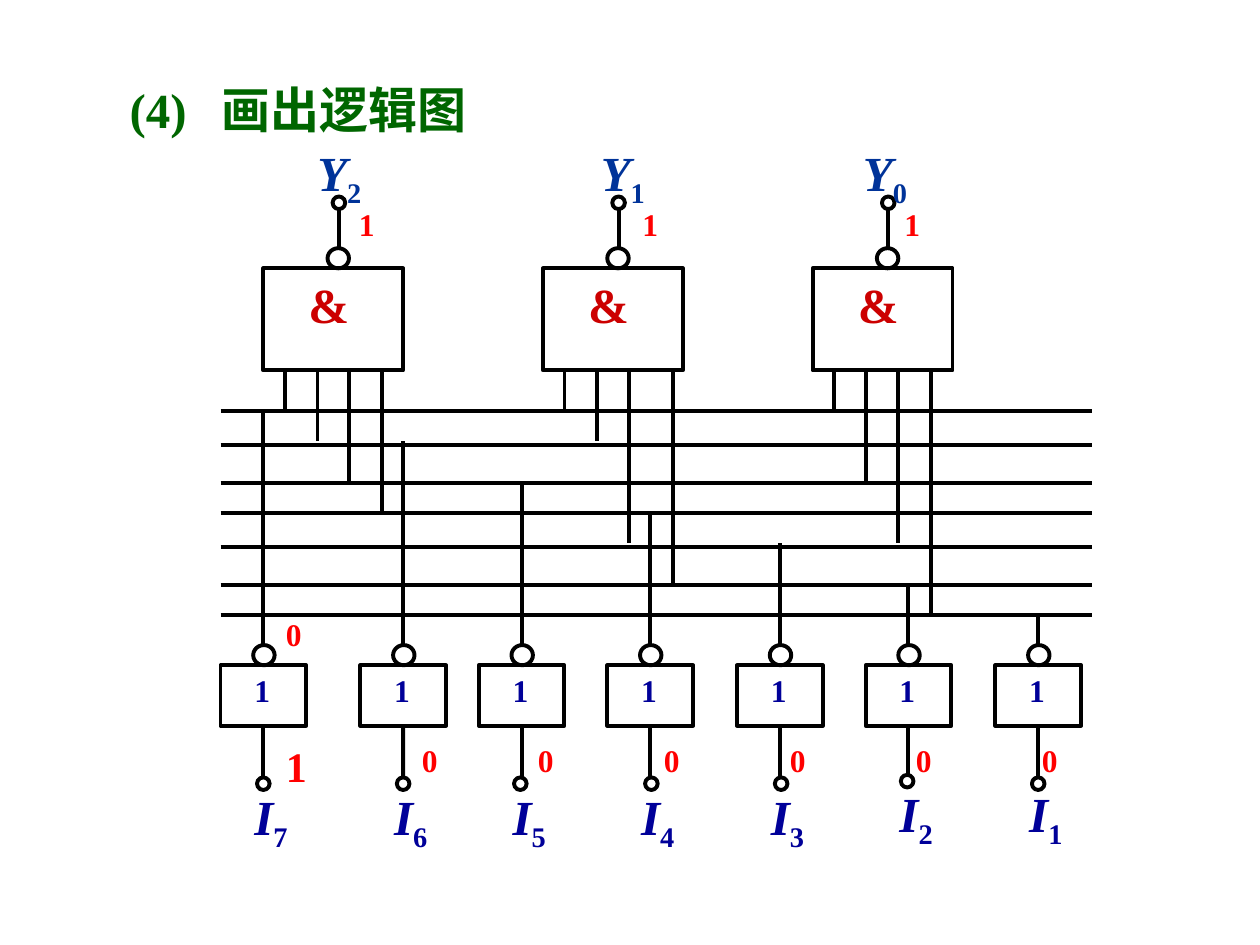
from lxml import etree
from pptx import Presentation
from pptx import util as u
from pptx.dml.color import RGBColor
from pptx.enum import shapes, text
from pptx.oxml import ns

Inches = u.Inches
COLORS = {
    "title": "006600",
    "output": "003399",
    "input": "000099",
    "gate": "CC0000",
    "value": "FF0000",
    "wire": "000000",
}
RECT = shapes.MSO_SHAPE.RECTANGLE
OVAL = shapes.MSO_SHAPE.OVAL

deck = Presentation()
deck.slide_width, deck.slide_height = Inches(10), Inches(7.5)
page = deck.slides.add_slide(deck.slide_layouts[6])


def add_label(x, y, width, words, size, color, subscript="", tab=None):
    box = page.shapes.add_textbox(Inches(x), Inches(y), Inches(width), Inches(size / 50))
    box.text_frame.word_wrap = False
    box.text_frame.auto_size = text.MSO_AUTO_SIZE.SHAPE_TO_FIT_TEXT
    para = box.text_frame.paragraphs[0]
    para.text = words
    if tab:
        tabs = etree.SubElement(para._p.get_or_add_pPr(), ns.qn("a:tabLst"))
        etree.SubElement(tabs, ns.qn("a:tab"), pos=str(Inches(tab)), algn="l")
    if subscript:
        para.runs[0].font.italic = True
        span = para.add_run()
        span.text = subscript
        span._r.get_or_add_rPr().set("baseline", "-25000")
    for span in para.runs:
        span.font.name = "Times New Roman"
        span.font.size = u.Pt(size)
        span.font.bold = True
        span.font.color.rgb = RGBColor.from_string(COLORS[color])


def add_wire(x1, y1, x2, y2):
    wire = page.shapes.add_connector(
        shapes.MSO_CONNECTOR.STRAIGHT, Inches(x1), Inches(y1), Inches(x2), Inches(y2)
    )
    wire.line.width = u.Pt(2.25)
    wire.line.color.rgb = RGBColor.from_string(COLORS["wire"])
    etree.SubElement(wire._element.spPr, ns.qn("a:effectLst"))
    return wire


add_label(0.93, 0.58, 4.48, "(4)\t画出逻辑图", 28, "title", tab=0.73)

for bus_y in (3.26, 3.53, 3.83, 4.07, 4.34, 4.64, 4.88):
    add_wire(1.75, bus_y, 8.67, bus_y)

taps = {"7": 3.26, "6": 3.5, "5": 3.83, "4": 4.07, "3": 4.31, "2": 4.64, "1": 4.88}
outlines = []

nand_gates = [
    ("2", 2.09, 2.42, "7654", (0.17, 0.43, 0.68, 0.94)),
    ("1", 4.31, 4.67, "7632", (0.17, 0.43, 0.68, 1.03)),
    ("0", 6.45, 6.75, "7531", (0.17, 0.42, 0.68, 0.94)),
]
for index, left, label_x, inputs, offsets in nand_gates:
    for kind, x, y, width, height in (
        (RECT, left, 2.13, 1.11, 0.81),
        (OVAL, left + 0.51, 1.97, 0.17, 0.16),
        (OVAL, left + 0.55, 1.56, 0.1, 0.1),
    ):
        outlines.append(
            page.shapes.add_shape(kind, Inches(x), Inches(y), Inches(width), Inches(height))
        )
    add_wire(left + 0.6, 1.97, left + 0.6, 1.64)
    for source, offset in zip(inputs, offsets):
        add_wire(left + offset, 2.94, left + offset, taps[source])
    add_label(left + 0.26, 2.13, 0.6, "&", 28, "gate")
    add_label(label_x, 1.08, 0.57, "Y", 28, "output", index)
    add_label(label_x + 0.33, 1.58, 0.37, "1", 18, "value")

inverters = [
    ("7", 1.75, 2.04, 6.17, 6.19, 2.17, "1", 24),
    ("6", 2.86, 3.15, 6.17, 6.19, 3.25, "0", 18),
    ("5", 3.8, 4.08, 6.17, 6.19, 4.17, "0", 18),
    ("4", 4.82, 5.12, 6.17, 6.19, 5.17, "0", 18),
    ("3", 5.85, 6.15, 6.17, 6.19, 6.17, "0", 18),
    ("2", 6.87, 7.15, 6.15, 6.17, 7.17, "0", 18),
    ("1", 7.9, 8.19, 6.17, 6.17, 8.17, "0", 18),
]
for index, left, pin_x, pin_y, label_y, value_x, value, value_size in inverters:
    center = left + 0.34
    gate = page.shapes.add_shape(RECT, Inches(left), Inches(5.28), Inches(0.68), Inches(0.48))
    bubble = page.shapes.add_shape(
        OVAL, Inches(left + 0.26), Inches(5.12), Inches(0.17), Inches(0.16)
    )
    pin = page.shapes.add_shape(OVAL, Inches(pin_x), Inches(pin_y), Inches(0.1), Inches(0.1))
    outlines += [gate, bubble, pin]
    add_wire(center, 5.12, center, taps[index])
    add_wire(center, 5.76, center, 6.17).begin_connect(gate, 2)
    add_label(left + 0.17, 5.28, 0.37, "1", 18, "input")
    add_label(left + 0.17, label_y, 0.48, "I", 28, "input", index)
    add_label(value_x, 5.83, 0.37, value, value_size, "value")

add_label(2.17, 4.83, 0.37, "0", 18, "value")

for outline in outlines:
    outline.shadow.inherit = False
    outline.fill.background()
    outline.line.width = u.Pt(2.25)
    outline.line.color.rgb = RGBColor.from_string(COLORS["wire"])

deck.save("out.pptx")
